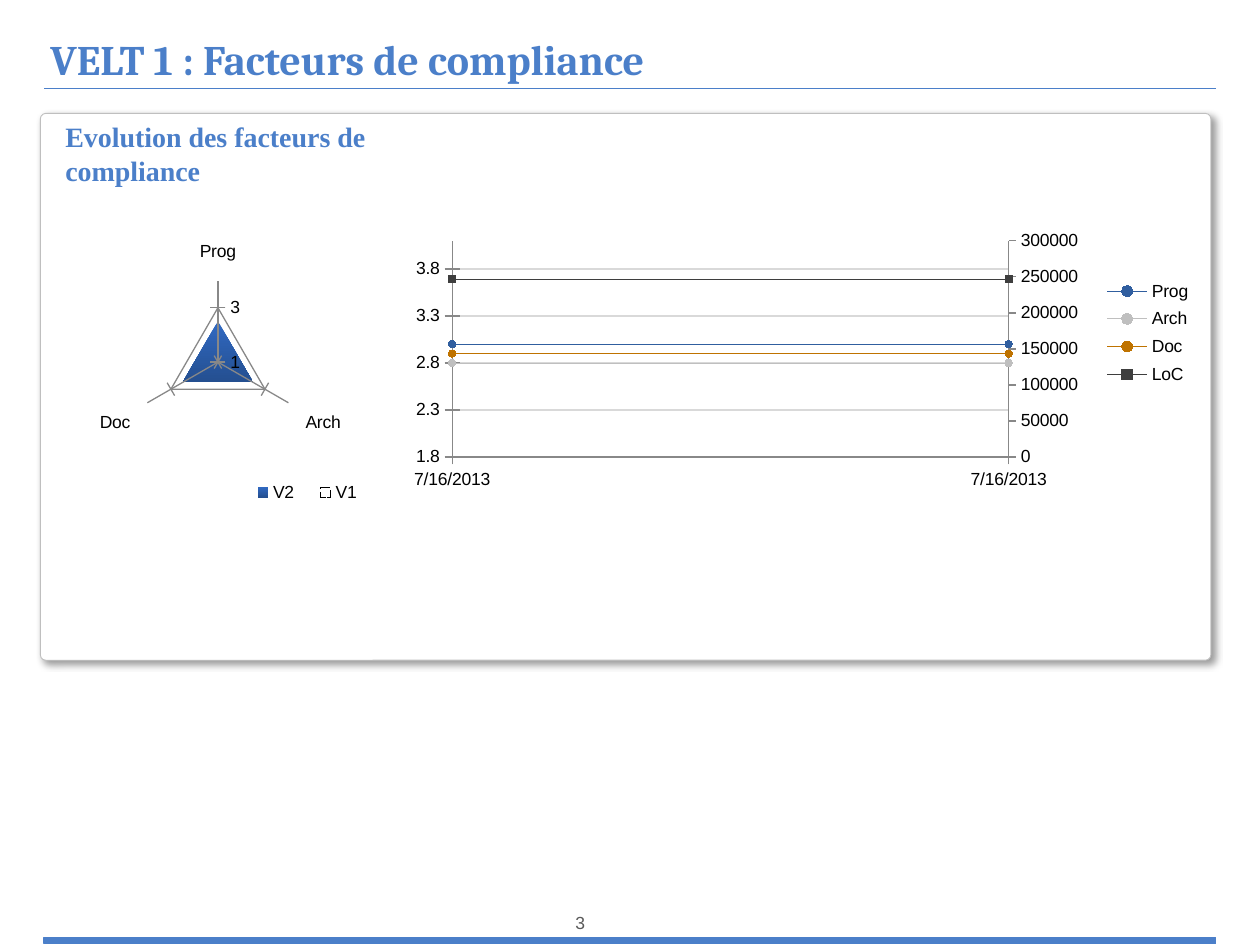
from copy import deepcopy
from dataclasses import dataclass

from pptx import Presentation
from pptx.chart.data import CategoryChartData
from pptx.dml.color import RGBColor
from pptx.enum.chart import XL_CHART_TYPE as CT, XL_LEGEND_POSITION as LP
from pptx.enum.chart import XL_MARKER_STYLE as MS, XL_TICK_MARK as TM
from pptx.enum.dml import MSO_LINE
from pptx.enum.shapes import MSO_CONNECTOR, MSO_SHAPE
from pptx.enum.text import MSO_ANCHOR, PP_ALIGN
from pptx.oxml import parse_xml
from pptx.oxml.ns import nsdecls, qn
from pptx.util import Pt

PX = 9144


@dataclass(frozen=True)
class Theme:
    """Colours, fonts and type sizes of the slide."""
    accent: str = "4B7FC9"
    fill_top: str = "3069C2"
    fill_bottom: str = "244F90"
    white: str = "FFFFFF"
    black: str = "000000"
    border: str = "BFBFBF"
    axis: str = "888888"
    grid: str = "D9D9D9"
    muted: str = "595959"
    prog: str = "305E9F"
    arch: str = "BFBFBF"
    doc: str = "BF7300"
    loc: str = "3E3E3E"
    heading: str = "Cambria"
    subheading: str = "Times New Roman"
    body: str = "Arial"
    title_size: int = 24
    subtitle_size: int = 16
    small: int = 10


T = Theme()


def rgb(value):
    """Turn a hex string into a colour."""
    return RGBColor.from_string(value)


def emu(*lengths):
    """Turn lengths in px into EMU."""
    return [v * PX for v in lengths]


def style_line(line, color, width):
    """Set the colour and width of a line."""
    line.color.rgb = rgb(color)
    line.width = Pt(width)


def add_text(s, text, box, *, size, font, color, bold=False, align=PP_ALIGN.LEFT,
             anchor=MSO_ANCHOR.TOP, insets=(10, 5, 10, 5), spacing=None):
    """Place one formatted paragraph in a box."""
    tf = s.shapes.add_textbox(*emu(*box)).text_frame
    tf.word_wrap = True
    tf.vertical_anchor = anchor
    tf.margin_left, tf.margin_top, tf.margin_right, tf.margin_bottom = emu(*insets)
    p = tf.paragraphs[0]
    p.alignment = align
    p.line_spacing = spacing
    r = p.add_run()
    r.text = text
    r.font.size, r.font.name, r.font.bold = Pt(size), font, bold
    r.font.color.rgb = rgb(color)


def add_box(s, kind, box, fill, line, width):
    """Place a filled and outlined shape without a shadow."""
    sp = s.shapes.add_shape(kind, *emu(*box))
    sp.shadow.inherit = False
    sp.fill.solid()
    sp.fill.fore_color.rgb = rgb(fill)
    style_line(sp.line, line, width)
    return sp


def set_layout(parent, index, frame, inner=False):
    """Give a chart part a fixed frame in fractions of the chart."""
    for old in parent.findall(qn("c:layout")):
        parent.remove(old)
    target = '<c:layoutTarget val="inner"/>' if inner else ""
    modes = '<c:xMode val="edge"/><c:yMode val="edge"/>'
    sizes = "".join(f'<c:{k} val="{v}"/>' for k, v in zip("xywh", frame))
    parent.insert(index, parse_xml(
        f'<c:layout {nsdecls("c")}><c:manualLayout>{target}{modes}{sizes}'
        '</c:manualLayout></c:layout>'))


def add_chart(s, kind, box, cats, series, plot, legend, position):
    """Place a chart with the shared font, frames and legend."""
    data = CategoryChartData()
    data.categories = cats
    for name, values in series:
        data.add_series(name, values)
    chart = s.shapes.add_chart(kind, *emu(*box), data).chart
    chart.has_title = False
    chart.font.size, chart.font.name = Pt(T.small), T.body
    chart.font.color.rgb = rgb(T.black)
    chart.plots[0].vary_by_categories = False
    chart.has_legend = True
    chart.legend.position = position
    chart.legend.include_in_layout = False
    space = chart._chartSpace
    set_layout(space.xpath(".//c:plotArea")[0], 0, plot, inner=True)
    set_layout(space.xpath(".//c:legend")[0], 1, legend)
    return chart


def style_axes(chart, low, high, step, grid):
    """Set the scale, ticks and lines of the main axes."""
    cat, val = chart.category_axis, chart.value_axis
    val.minimum_scale, val.maximum_scale, val.major_unit = low, high, step
    val.has_major_gridlines = True
    style_line(val.major_gridlines.format.line, grid, 0.75)
    cat.major_tick_mark, val.major_tick_mark = TM.OUTSIDE, TM.CROSS
    for axis in (cat, val):
        axis.minor_tick_mark = TM.NONE
        style_line(axis.format.line, T.axis, 0.75)


def use_right_axis(chart):
    """Move the last series to a second axis on the right."""
    space = chart._chartSpace
    left = space.xpath(".//c:lineChart")[0]
    right = deepcopy(left)
    left.remove(left.xpath("c:ser")[-1])
    for ser in right.xpath("c:ser")[:-1]:
        right.remove(ser)
    ids = ("50010", "50020")
    for ax, new in zip(right.xpath("c:axId"), ids):
        ax.set("val", new)
    left.addnext(right)
    val = space.xpath(".//c:valAx")[0]
    for old in val.xpath("c:crossBetween"):
        val.remove(old)
    between = f'<c:crossBetween {nsdecls("c")} val="midCat"/>'
    val.xpath("c:crosses")[0].addnext(parse_xml(between))
    last = val
    for tag, own, other, hidden, pos, tail in (
            ("valAx", ids[1], ids[0], 0, "r",
             '<c:crosses val="max"/><c:crossBetween val="midCat"/><c:majorUnit val="50000"/>'),
            ("catAx", ids[0], ids[1], 1, "b", '<c:crosses val="autoZero"/>')):
        scale = '<c:max val="300000"/><c:min val="0"/>' if tag == "valAx" else ""
        axis = parse_xml(
            f'<c:{tag} {nsdecls("c", "a")}><c:axId val="{own}"/>'
            f'<c:scaling><c:orientation val="minMax"/>{scale}</c:scaling>'
            f'<c:delete val="{hidden}"/><c:axPos val="{pos}"/>'
            '<c:numFmt formatCode="General" sourceLinked="0"/>'
            '<c:majorTickMark val="out"/><c:minorTickMark val="none"/>'
            '<c:tickLblPos val="nextTo"/><c:spPr><a:ln w="9525"><a:solidFill>'
            f'<a:srgbClr val="{T.axis}"/></a:solidFill></a:ln></c:spPr>'
            f'<c:crossAx val="{other}"/>{tail}</c:{tag}>')
        last.addnext(axis)
        last = axis


def add_radar(s, box):
    """Place the radar of the compliance factors."""
    chart = add_chart(s, CT.RADAR_FILLED, box, ("Prog", "Arch", "Doc"),
                      (("V2", (2.5,) * 3), ("V1", (1.5,) * 3)),
                      (0.16, 0.1, 0.42, 0.74), (0.42, 0.74, 0.36, 0.11), LP.BOTTOM)
    style_axes(chart, 1, 4, 2, T.axis)
    current, previous = (ser.format for ser in chart.plots[0].series)
    current.fill.gradient()
    current.fill.gradient_angle = 270
    for stop, color in zip(current.fill.gradient_stops, (T.fill_top, T.fill_bottom)):
        stop.color.rgb = rgb(color)
    current.line.fill.background()
    previous.fill.background()
    style_line(previous.line, T.black, 1.25)
    previous.line.dash_style = MSO_LINE.LONG_DASH


def add_trend(s, box):
    """Place the line chart of factors and code size over time."""
    rows = (("Prog", 3, T.prog, MS.CIRCLE), ("Arch", 2.8, T.arch, MS.CIRCLE),
            ("Doc", 2.9, T.doc, MS.CIRCLE), ("LoC", 247000, T.loc, MS.SQUARE))
    chart = add_chart(s, CT.LINE_MARKERS, box, ("7/16/2013",) * 2,
                      [(name, (v, v)) for name, v, _, _ in rows],
                      (0.06, 0.13, 0.7, 0.6), (0.87, 0.22, 0.13, 0.33), LP.RIGHT)
    style_axes(chart, 1.8, 4.1, 0.5, T.grid)
    for ser, (_, _, color, mark) in zip(chart.plots[0].series, rows):
        ser.smooth = False
        style_line(ser.format.line, color, 0.5)
        ser.marker.style, ser.marker.size = mark, 4
        ser.marker.format.fill.solid()
        ser.marker.format.fill.fore_color.rgb = rgb(color)
        style_line(ser.marker.format.line, color, 0.5)
    use_right_axis(chart)


def add_header(s, x, y, w, h):
    """Place the title and the rule below it."""
    add_text(s, "VELT 1 : Facteurs de compliance", (x, y, w, h - 3), size=T.title_size,
             font=T.heading, color=T.accent, bold=True, anchor=MSO_ANCHOR.BOTTOM,
             insets=(5, 5, 5, 0), spacing=0.9)
    rule = s.shapes.add_connector(MSO_CONNECTOR.STRAIGHT, *emu(x, y + h, x + w, y + h))
    style_line(rule.line, T.accent, 0.5)
    rule._element.spPr.append(parse_xml(f'<a:effectLst {nsdecls("a")}/>'))


def add_panel(s, x, y, w, h):
    """Place the card with its heading and two charts."""
    card = add_box(s, MSO_SHAPE.ROUNDED_RECTANGLE, (x, y, w, h), T.white, T.border, 0.5)
    card.adjustments[0] = 0.01
    card._element.spPr.find(qn("a:effectLst")).append(parse_xml(
        f'<a:outerShdw {nsdecls("a")} blurRad="{Pt(4)}" dist="{Pt(3)}" dir="2700000" '
        f'algn="tl" rotWithShape="0"><a:srgbClr val="{T.black}"><a:alpha val="40000"/>'
        '</a:srgbClr></a:outerShdw>'))
    add_text(s, "Evolution des facteurs de compliance", (x + 10, y, 357, 64),
             size=T.subtitle_size, font=T.subheading, color=T.accent, bold=True)
    add_radar(s, (x + 27, y + 48, 308, 318))
    add_trend(s, (x + 289, y + 64, 631, 286))


def add_footer(s, x, y, w, h):
    """Place the bottom bar and the page number."""
    add_box(s, MSO_SHAPE.RECTANGLE, (x, y + h - 5, w, 5), T.accent, T.accent, 0.75)
    add_text(s, "3", (x + 398, y, 55, 25), size=T.small, font=T.body, color=T.muted,
             align=PP_ALIGN.CENTER)


def main():
    """Build the slide and save it."""
    prs = Presentation()
    prs.slide_width, prs.slide_height = emu(1000, 750)
    s = prs.slides.add_slide(prs.slide_layouts[6])
    add_header(s, 35, 26, 930, 44)
    add_panel(s, 32, 90, 929, 434)
    add_footer(s, 35, 719, 930, 30)
    prs.save("out.pptx")


if __name__ == "__main__":
    main()
